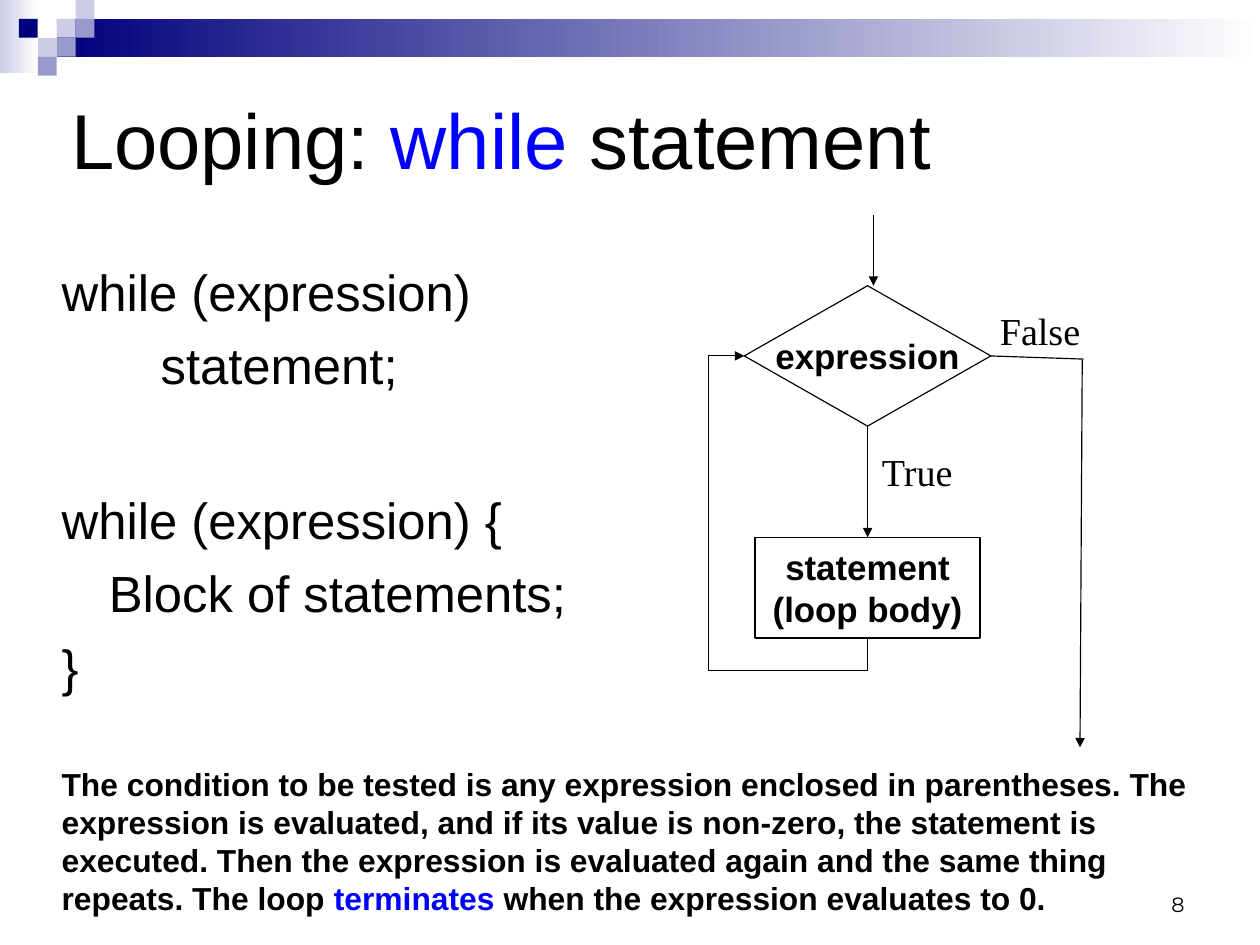
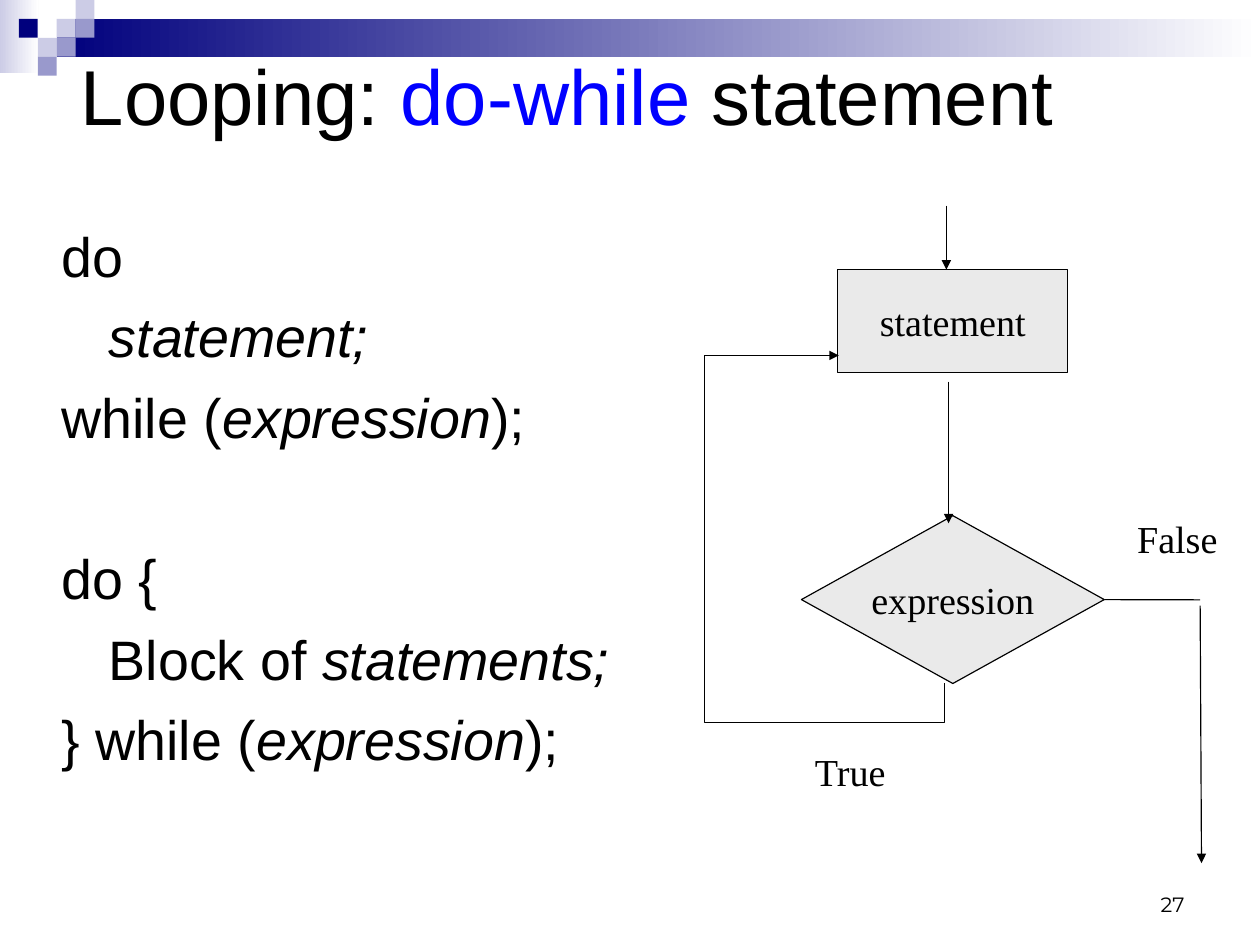
import pptx
import pptx.dml.color
import pptx.enum.shapes
import pptx.enum.text
import pptx.oxml
import pptx.oxml.ns
import pptx.util

Cm, Pt = pptx.util.Cm, pptx.util.Pt
qn = pptx.oxml.ns.qn
SHAPE = pptx.enum.shapes.MSO_SHAPE
CONNECTOR = pptx.enum.shapes.MSO_CONNECTOR
ALIGN = pptx.enum.text.PP_ALIGN
ANCHOR = pptx.enum.text.MSO_ANCHOR

COLORS = {"navy": "00007D", "mid": "9999CC", "pale": "CCCCE6", "white": "FFFFFF",
          "black": "000000", "blue": "0000FF", "grey": "EAEAEA"}
TITLE = {"name": "Arial", "size": Pt(49)}
NUMBER = {"name": "Montserrat", "size": Pt(13)}
NOTE = {"name": "Arial", "size": Pt(20), "bold": True}
LABEL = {"name": "Times New Roman", "size": Pt(24)}
NODE = {"name": "Arial", "size": Pt(22), "bold": True}
BLUE = {"color": "blue"}
ITALIC = {"italic": True}
TILE = 0.42
TILES = [(3, 1, "pale"), (4, 0, "pale"), (4, 1, "mid"), (2, 2, "pale"),
         (1, 1, "navy"), (3, 2, "mid"), (2, 3, "mid")]
INDENT = 1.05


def rgb(name):
    return pptx.dml.color.RGBColor.from_string(COLORS[name])


class Deck:
    """Holds the shared style and the current slide, and draws each kind of element."""

    def __init__(self):
        self.presentation = pptx.Presentation()
        self.presentation.slide_width = Cm(28)
        self.presentation.slide_height = Cm(21)
        self.slide = None

    def start(self, title, left, top, number):
        self.slide = self.presentation.slides.add_slide(self.presentation.slide_layouts[6])
        self.block(0, 0, 0.86, 1.63, "pale", "white")
        self.block(1.26, TILE, 26.74, 0.84, "navy", "white")
        for column, row, color in TILES:
            self.block(column * TILE, row * TILE, TILE, TILE, color)
        self.text((20.07, 19.13, 6.53, 1.4), [[(number, {})]], NUMBER,
                  ANCHOR.BOTTOM, ALIGN.RIGHT)
        self.text((left, top, 25.2, 4.19), [title], TITLE, ANCHOR.MIDDLE)

    def block(self, left, top, width, height, color, fade=None):
        shape = self.slide.shapes.add_shape(
            SHAPE.RECTANGLE, Cm(left), Cm(top), Cm(width), Cm(height))
        shape.shadow.inherit = False
        shape.line.fill.background()
        if not fade:
            shape.fill.solid()
            shape.fill.fore_color.rgb = rgb(color)
            return
        shape.fill.gradient()
        shape.fill.gradient_angle = 0
        for stop, name, position in zip(shape.fill.gradient_stops, (color, fade), (0, 1)):
            stop.color.rgb = rgb(name)
            stop.position = position

    def add_runs(self, frame, paragraphs, style, align):
        for index, runs in enumerate(paragraphs):
            paragraph = frame.paragraphs[0] if index == 0 else frame.add_paragraph()
            paragraph.alignment = align
            for text, changes in runs:
                run = paragraph.add_run()
                run.text = text
                values = {"color": "black", **style, **changes}
                run.font.color.rgb = rgb(values.pop("color"))
                for name, value in values.items():
                    setattr(run.font, name, value)

    def text(self, box, paragraphs, style, anchor=ANCHOR.TOP, align=ALIGN.LEFT):
        frame = self.slide.shapes.add_textbox(*map(Cm, box)).text_frame
        values = {"word_wrap": True, "vertical_anchor": anchor,
                  "margin_left": Cm(0.28), "margin_right": Cm(0.28),
                  "margin_top": Cm(0.15), "margin_bottom": Cm(0.15)}
        for name, value in values.items():
            setattr(frame, name, value)
        self.add_runs(frame, paragraphs, style, align)
        return frame

    def code(self, box, size, lines):
        frame = self.text(box, [runs for runs, indent, gap in lines],
                          {"name": "Arial", "size": Pt(size)})
        for paragraph, (runs, indent, gap) in zip(frame.paragraphs, lines):
            paragraph.space_before = Pt(size / 4 + gap)
            paragraph._p.get_or_add_pPr().set("marL", str(Cm(indent)))

    def label(self, text, left, top, width):
        frame = self.slide.shapes.add_textbox(
            Cm(left), Cm(top), Cm(width), Cm(1.27)).text_frame
        frame.word_wrap = False
        self.add_runs(frame, [[(text, {})]], LABEL, ALIGN.LEFT)

    def node(self, kind, box, lines, fill, style):
        shape = self.slide.shapes.add_shape(kind, *map(Cm, box))
        shape.shadow.inherit = False
        shape.fill.solid()
        shape.fill.fore_color.rgb = rgb(fill)
        self.outline(shape)
        shape.text_frame.word_wrap = False
        shape.text_frame.vertical_anchor = ANCHOR.MIDDLE
        self.add_runs(shape.text_frame, [[(line, {})] for line in lines], style, ALIGN.CENTER)
        return shape

    def outline(self, shape):
        shape.line.color.rgb = rgb("black")
        shape.line.width = Pt(0.75)

    def connector(self, kind, start, end, arrow=True):
        line = self.slide.shapes.add_connector(kind, *map(Cm, (*start, *end)))
        self.outline(line)
        if arrow:
            tail = pptx.oxml.parse_xml(
                f'<a:tailEnd {pptx.oxml.ns.nsdecls("a")} type="triangle"/>')
            line.line._get_or_add_ln().append(tail)
        effects = pptx.oxml.parse_xml(f'<a:effectLst {pptx.oxml.ns.nsdecls("a")}/>')
        line._element.spPr.append(effects)
        return line

    def line(self, start, end, arrow=True, source=None, target=None):
        line = self.connector(CONNECTOR.STRAIGHT, start, end, arrow)
        if source:
            line.begin_connect(*source)
        if target:
            line.end_connect(*target)

    def loop(self, start, end, bottom, side):
        rise, run = start[1] - end[1], start[0] - end[0]
        middle_x, middle_y = (start[0] + end[0]) / 2, (start[1] + end[1]) / 2
        line = self.connector(CONNECTOR.ELBOW,
                              (middle_x - rise / 2, middle_y - run / 2),
                              (middle_x + rise / 2, middle_y + run / 2))
        properties = line._element.spPr
        frame = properties.find(qn("a:xfrm"))
        frame.set("rot", str(270 * 60000))
        frame.set("flipV", "1")
        geometry = properties.find(qn("a:prstGeom"))
        geometry.set("prst", "bentConnector4")
        guides = geometry.find(qn("a:avLst"))
        ratios = {"adj1": (start[1] - bottom) / rise, "adj2": (start[0] - side) / run}
        for name, ratio in ratios.items():
            guides.append(pptx.oxml.parse_xml(
                f'<a:gd {pptx.oxml.ns.nsdecls("a")} name="{name}" '
                f'fmla="val {round(ratio * 100000)}"/>'))


def while_slide(deck):
    deck.start([("Looping: ", {}), ("while", BLUE), (" statement", {})], 1.3, 0.97, "8")
    deck.code((1.09, 5.64, 12.7, 10.59), 32, [
        ([("while (expression)", {})], 0, 0),
        ([("statement;", {})], 2.2, 0),
        ([("while (expression) {", {})], 0, 50.8),
        ([("Block of statements;", {})], INDENT, 0),
        ([("}", {})], 0, 0)])
    test = deck.node(SHAPE.FLOWCHART_DECISION, (16.54, 6.35, 5.48, 3.12),
                     ["expression"], "white", NODE)
    body = deck.node(SHAPE.FLOWCHART_PROCESS, (16.78, 11.94, 5, 2.24),
                     ["statement", "(loop body)"], "white", NODE)
    deck.line((22.02, 7.91), (24.08, 7.98), arrow=False, source=(test, 3))
    deck.label("False", 21.97, 6.71, 2.29)
    deck.label("True", 19.35, 9.83, 2.11)
    deck.line((19.41, 4.78), (19.41, 6.35))
    deck.line((19.28, 9.47), (19.28, 11.94), source=(test, 2), target=(body, 0))
    deck.loop((19.28, 14.18), (16.54, 7.91), 14.91, 15.75)
    deck.line((24.05, 8), (24, 16.61))
    deck.text((1.09, 16.84, 25.6, 3.8), [[
        ("The condition to be tested is any expression enclosed in parentheses. "
         "The expression is evaluated, and if its value is non-zero, the statement is "
         "executed. Then the expression is evaluated again and the same thing repeats. "
         "The loop ", {}),
        ("terminates", BLUE),
        (" when the expression evaluates to 0.", {})]], NOTE)


def do_while_slide(deck):
    deck.start([("Looping:", {}), (" do-while", BLUE), (" statement", {})], 1.52, 0, "27")
    condition = [("expression", ITALIC), (");", {})]
    deck.code((1.09, 4.78, 13.77, 14.17), 35, [
        ([("do", {})], 0, 0),
        ([("statement;", ITALIC)], INDENT, 0),
        ([("while (", {}), *condition], 0, 0),
        ([("do {", {})], 0, 50.8),
        ([("Block of ", {}), ("statements;", ITALIC)], INDENT, 0),
        ([("} while (", {}), *condition], 0, 0)])
    deck.node(SHAPE.FLOWCHART_PROCESS, (18.62, 5.99, 5.11, 2.29),
              ["statement"], "grey", LABEL)
    test = deck.node(SHAPE.FLOWCHART_DECISION, (17.81, 11.46, 6.73, 3.73),
                     ["expression"], "grey", LABEL)
    deck.line((21.08, 8.48), (21.08, 11.63))
    deck.line((24.54, 13.33), (26.67, 13.33), arrow=False, source=(test, 3))
    deck.label("False", 25.02, 11.33, 2.29)
    deck.label("True", 17.86, 16.51, 2.11)
    deck.line((21.03, 4.57), (21.03, 5.99))
    deck.line((26.67, 13.46), (26.7, 19.18))
    deck.loop((20.98, 15.19), (18.64, 7.9), 16.05, 15.65)


def main():
    deck = Deck()
    while_slide(deck)
    do_while_slide(deck)
    deck.presentation.save("out.pptx")


if __name__ == "__main__":
    main()
